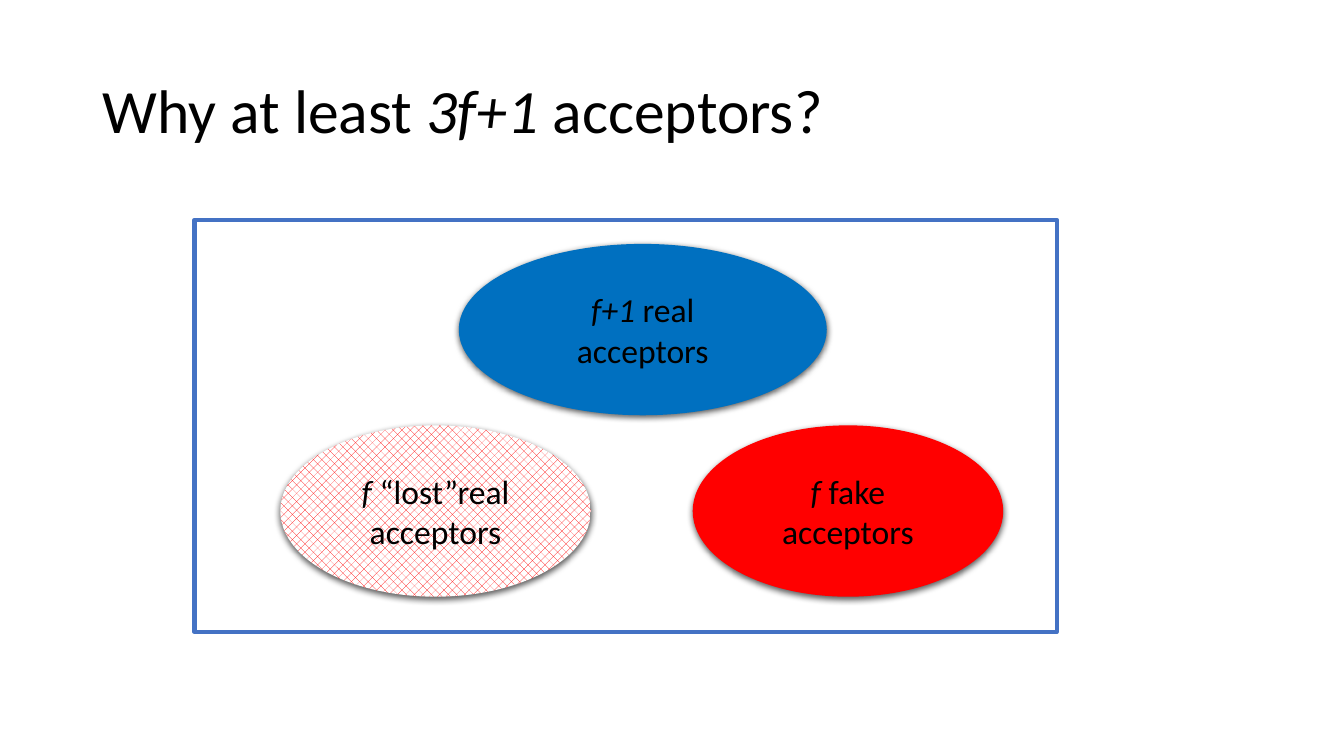
from dataclasses import dataclass
from typing import Optional

from lxml import etree
from pptx import Presentation
from pptx.dml.color import RGBColor
from pptx.enum import dml, shapes, text
from pptx.oxml import ns
from pptx.util import Inches, Pt


@dataclass(frozen=True)
class Theme:
    """Colours, font and type sizes."""
    ink: RGBColor = RGBColor(0, 0, 0)
    paper: RGBColor = RGBColor(255, 255, 255)
    frame: RGBColor = RGBColor(0x44, 0x72, 0xC4)
    real: RGBColor = RGBColor(0x00, 0x70, 0xC0)
    fake: RGBColor = RGBColor(255, 0, 0)
    font: str = "Calibri"
    head: int = 44
    body: int = 24


@dataclass(frozen=True)
class Group:
    """One set of acceptors, drawn as an ellipse."""
    left: float
    top: float
    width: float
    count: str
    label: str
    color: RGBColor
    lost: bool = False


THEME = Theme()
HIGH = 1.7
LOW_TOP, LOW_WIDE = 4.22, 3.08
GROUPS = [
    Group(6.87, LOW_TOP, LOW_WIDE, "f", " fake acceptors", THEME.fake),
    Group(2.78, LOW_TOP, LOW_WIDE, "f ", "“lost”real acceptors", THEME.fake, True),
    Group(4.55, 2.42, 3.65, "f+1 ", "real acceptors", THEME.real),
]


def write(frame, runs: list[tuple[str, bool]], size: int, align,
          space: Optional[float] = None) -> None:
    """Write (words, italic) runs as one paragraph, centred vertically."""
    frame.word_wrap = True
    frame.vertical_anchor = text.MSO_ANCHOR.MIDDLE
    para = frame.paragraphs[0]
    para.alignment = align
    para.line_spacing = space
    for words, slant in runs:
        run = para.add_run()
        run.text = words
        look = {"name": THEME.font, "size": Pt(size), "italic": slant}
        for key, value in look.items():
            setattr(run.font, key, value)
        run.font.color.rgb = THEME.ink


def shade(shape) -> None:
    """Give a shape a soft shadow straight below it."""
    shape.shadow.inherit = False
    effects = shape._element.spPr.find(ns.qn("a:effectLst"))
    outer = etree.SubElement(effects, ns.qn("a:outerShdw"), blurRad=str(Pt(4.5)),
                             dist=str(Pt(1.5)), dir="5400000", algn="ctr", rotWithShape="0")
    color = etree.SubElement(outer, ns.qn("a:srgbClr"), val=str(THEME.ink))
    etree.SubElement(color, ns.qn("a:alpha"), val="63000")


def draw_head(slide) -> None:
    """Place and fill the title."""
    title = slide.shapes.title
    place = {"left": 0.92, "top": 0.4, "width": 11.5, "height": 1.45}
    for key, value in place.items():
        setattr(title, key, Inches(value))
    runs = [("Why at least ", False), ("3f+1 ", True), ("acceptors?", False)]
    write(title.text_frame, runs, THEME.head, text.PP_ALIGN.LEFT, 0.9)


def draw_frame(slide) -> None:
    """Draw the box around all acceptors."""
    box = slide.shapes.add_shape(shapes.MSO_SHAPE.RECTANGLE, Inches(1.93), Inches(2.18),
                                 Inches(8.55), Inches(4.09))
    box.shadow.inherit = False
    box.fill.background()
    box.line.color.rgb = THEME.frame
    box.line.width = Pt(3)


def draw_group(slide, group: Group) -> None:
    """Draw one set of acceptors; lost ones get a pattern fill."""
    oval = slide.shapes.add_shape(shapes.MSO_SHAPE.OVAL, Inches(group.left), Inches(group.top),
                                  Inches(group.width), Inches(HIGH))
    if group.lost:
        oval.fill.patterned()
        oval.fill.pattern = dml.MSO_PATTERN.from_xml("pct40")
        oval.fill.fore_color.rgb = group.color
        oval.fill.back_color.rgb = THEME.paper
    else:
        oval.fill.solid()
        oval.fill.fore_color.rgb = group.color
    oval.line.fill.background()
    shade(oval)
    runs = [(group.count, True), (group.label, False)]
    write(oval.text_frame, runs, THEME.body, text.PP_ALIGN.CENTER)


def main() -> None:
    """Build and save the slide."""
    deck = Presentation()
    deck.slide_width, deck.slide_height = Inches(13.33), Inches(7.5)
    slide = deck.slides.add_slide(deck.slide_layouts.get_by_name("Title Only"))
    draw_head(slide)
    draw_frame(slide)
    for group in GROUPS:
        draw_group(slide, group)
    deck.save("out.pptx")


main()
